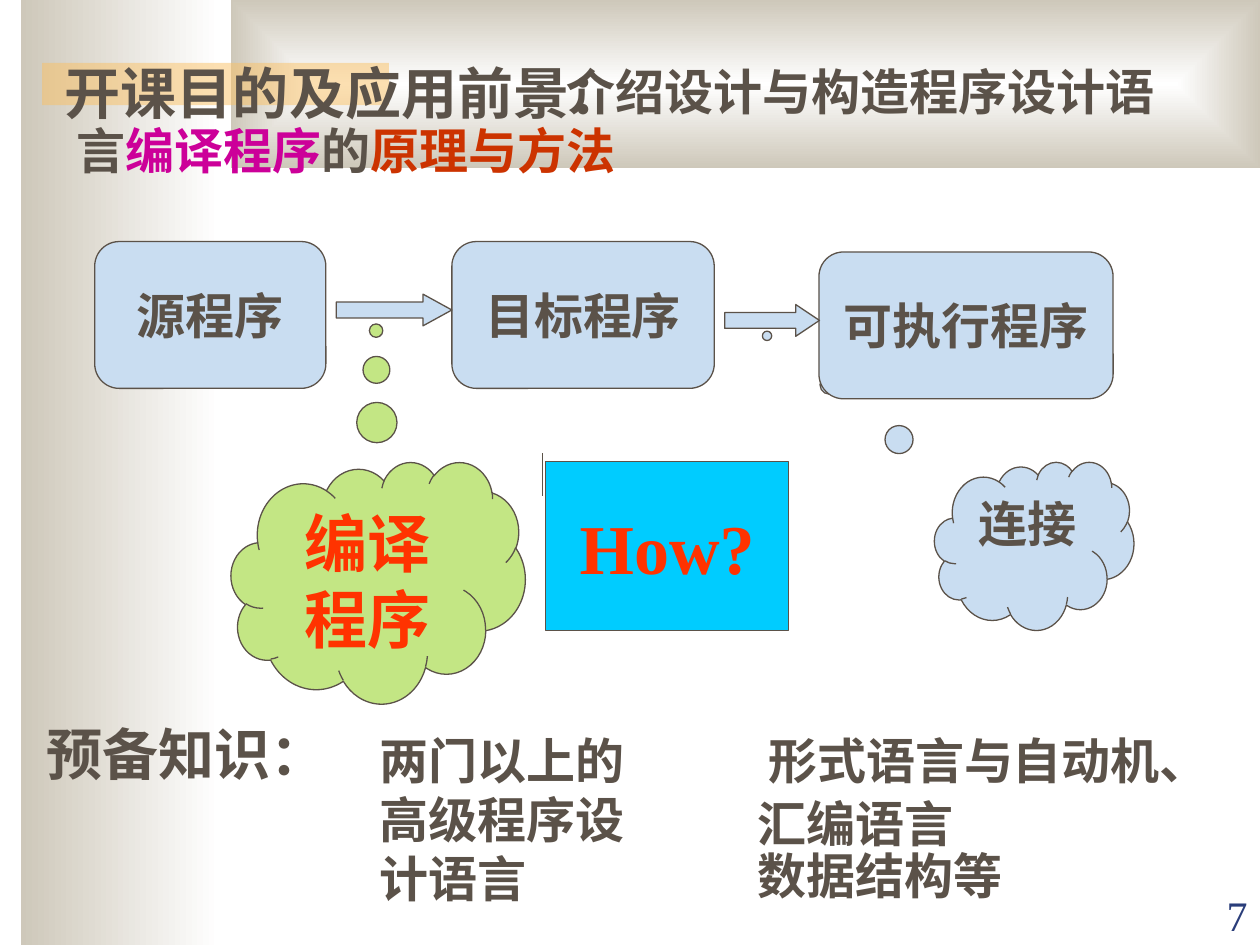
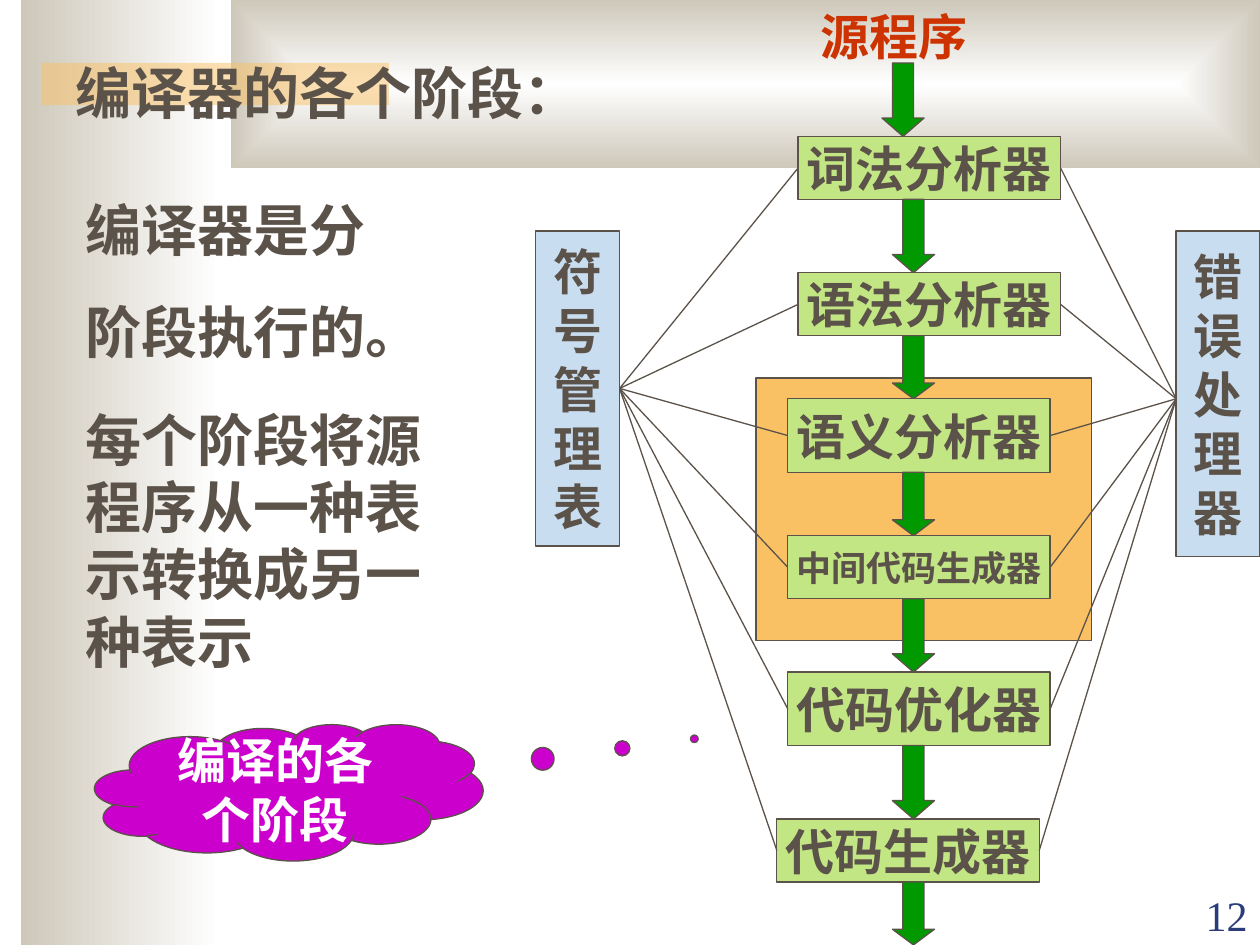
from lxml import etree
from pptx import Presentation
from pptx.dml.color import RGBColor
from pptx.enum.shapes import MSO_CONNECTOR, MSO_SHAPE
from pptx.enum.text import MSO_ANCHOR, PP_ALIGN
from pptx.oxml.ns import qn
from pptx.util import Cm, Pt

RECT = MSO_SHAPE.RECTANGLE
ROUND = MSO_SHAPE.ROUNDED_RECTANGLE
RIGHT = MSO_SHAPE.RIGHT_ARROW
DOWN = MSO_SHAPE.DOWN_ARROW
CLOUD = MSO_SHAPE.CLOUD_CALLOUT
NOTE = MSO_SHAPE.LINE_CALLOUT_1
STRAIGHT = MSO_CONNECTOR.STRAIGHT
TOP, MIDDLE, BOTTOM = MSO_ANCHOR.TOP, MSO_ANCHOR.MIDDLE, MSO_ANCHOR.BOTTOM
LEFT, CENTER, END = PP_ALIGN.LEFT, PP_ALIGN.CENTER, PP_ALIGN.RIGHT

FONT = "Times New Roman"
WIDTH, HEIGHT = 25.4, 19.05
COLORS = {
    "white": "FFFFFF",
    "sand": "CEC8BA",
    "amber": "FAC164",
    "ink": "5B5249",
    "sky": "C9DDF1",
    "lime": "C3E684",
    "cyan": "00CCFF",
    "red": "FF3300",
    "rust": "CC3300",
    "pink": "CC0099",
    "purple": "CC00CC",
    "green": "009900",
    "navy": "2A3D7A",
}


def rgb(name):
    return RGBColor.from_string(COLORS[name])


def style(run, size, color, bold=True):
    run.font.name = FONT
    run.font.size = Pt(size)
    run.font.bold = bold
    run.font.color.rgb = rgb(color)


def write(shape, text, size, color, align=LEFT, anchor=TOP, wrap=True, gap=0, bold=True):
    frame = shape.text_frame
    frame.text = text
    frame.word_wrap = wrap
    frame.vertical_anchor = anchor
    for index, para in enumerate(frame.paragraphs):
        para.alignment = align
        if index and gap:
            para.space_before = Pt(gap)
        for run in para.runs:
            style(run, size, color, bold)


def label(slide, box, text, size=28, color="ink", **look):
    shape = slide.shapes.add_textbox(*map(Cm, box))
    write(shape, text, size, color, **look)
    return shape


def block(slide, kind, box, fill=None, edge="ink", adjust=()):
    shape = slide.shapes.add_shape(kind, *map(Cm, box))
    shape.shadow.inherit = False
    if fill:
        shape.fill.solid()
        shape.fill.fore_color.rgb = rgb(fill)
    if edge:
        shape.line.color.rgb = rgb(edge)
        shape.line.width = Pt(0.75)
    else:
        shape.line.fill.background()
    for index, value in enumerate(adjust):
        shape.adjustments[index] = value
    return shape


def node(slide, kind, box, fill, text, size=28, color="ink", adjust=(), anchor=MIDDLE, wrap=False):
    shape = block(slide, kind, box, fill, adjust=adjust)
    write(shape, text, size, color, CENTER, anchor, wrap)


def arrow(slide, kind, box, fill):
    long, short = max(box[2:]), min(box[2:])
    block(slide, kind, box, fill, adjust=(0.5, long / short / 4))


def link(slide, x1, y1, x2, y2):
    line = slide.shapes.add_connector(STRAIGHT, Cm(x1), Cm(y1), Cm(x2), Cm(y2))
    line.line.color.rgb = rgb("ink")
    line.line.width = Pt(0.75)
    etree.SubElement(line._element.spPr, qn("a:effectLst"))


def fade(slide, box):
    shape = block(slide, RECT, box, edge=None)
    shape.fill.gradient()
    shape.fill.gradient_angle = 180
    for stop, name, place in zip(shape.fill.gradient_stops, ("white", "sand"), (0, 1)):
        stop.color.rgb = rgb(name)
        stop.position = place
    return shape


def base(deck, number):
    slide = deck.slides.add_slide(deck.slide_layouts[6])
    fade(slide, (0.42, 0, 4.02, HEIGHT))
    band = fade(slide, (4.66, 0, 20.74, 3.39))
    grad = band._element.spPr.find(qn("a:gradFill"))
    grad.remove(grad.find(qn("a:lin")))
    route = etree.SubElement(grad, qn("a:path"))
    route.set("path", "rect")
    center = etree.SubElement(route, qn("a:fillToRect"))
    for side in "ltrb":
        center.set(side, "50000")
    tag = block(slide, RECT, (0.85, 1.27, 6.99, 0.85), "amber", None)
    tint = tag._element.spPr.find(qn("a:solidFill"))[0]
    etree.SubElement(tint, qn("a:alpha")).set("val", "50000")
    label(slide, (22.86, 17.8, 2.54, 1.27), str(number), 24, "navy",
          align=END, anchor=BOTTOM, bold=False)
    return slide


def title(slide, x, width, text):
    label(slide, (x, 1.06, width, 1.62), text, 32)


def intro(slide, box):
    parts = (
        ("介绍设计与构造程序设计语言", "ink"),
        ("编译程序", "pink"),
        ("的", "ink"),
        ("原理与方法", "rust"),
    )
    shape = slide.shapes.add_textbox(*map(Cm, box))
    shape.text_frame.word_wrap = True
    para = shape.text_frame.paragraphs[0]
    para._p.get_or_add_pPr().set("indent", str(Cm(9.88)))
    for text, color in parts:
        run = para.add_run()
        run.text = text
        style(run, 28, color)


def flow(slide, x, y):
    steps = (
        ("源程序", 0, 0, 4.66),
        ("目标程序", 7.2, 0, 5.29),
        ("可执行程序", 14.6, 0.21, 5.93),
    )
    for text, dx, dy, width in steps:
        node(slide, ROUND, (x + dx, y + dy, width, 2.96), "sky", text, adjust=(0.167,))
    for dx, dy, width in ((4.87, 1.06, 2.33), (12.7, 1.27, 1.91)):
        arrow(slide, RIGHT, (x + dx, y + dy, width, 0.64), "sky")


def clouds(slide, x, y):
    node(slide, CLOUD, (x, y, 5.93, 4.87), "lime", "编译程序", 36, "red",
         (-0.007, -1.043), TOP, True)
    node(slide, CLOUD, (x + 14.18, y, 4.02, 3.39), "sky", "连接",
         adjust=(-1.34, -1.249), anchor=TOP, wrap=True)
    node(slide, NOTE, (x + 6.34, y, 4.9, 3.4), "cyan", "How?", 40, "red",
         (-0.052, -0.013, 0.202, -0.013), wrap=True)


def needs(slide, x, y):
    label(slide, (x, y, 6.93, 1.62), "预备知识：", 32)
    items = (
        ("两门以上的高级程序设计语言", 6.72, 0.21, 6.35),
        ("形式语言与自动机、", 14.55, 0.21, 10.16),
        ("汇编语言", 14.34, 1.48, 6.99),
        ("数据结构等", 14.34, 2.54, 7.62),
    )
    for text, dx, dy, width in items:
        label(slide, (x + dx, y + dy, width, 1.45), text)


def purpose(deck):
    slide = base(deck, 7)
    title(slide, 1.06, 13.23, "开课目的及应用前景：")
    intro(slide, (1.3, 1.12, 23.01, 2.64))
    clouds(slide, 4.66, 9.31)
    flow(slide, 1.91, 4.87)
    needs(slide, 0.69, 14.39)


def side(slide, box, text):
    node(slide, RECT, box, "sky", "\n".join(text))


def chain(slide, x, left, right):
    stages = (
        ("词法分析器", 0.43, 2.75, 1.27, 28),
        ("语法分析器", 0.43, 5.5, 1.27, 28),
        ("语义分析器", 0.22, 8.04, 1.48, 28),
        ("中间代码生成器", 0.22, 10.8, 1.27, 20),
        ("代码优化器", 0.22, 13.55, 1.48, 28),
        ("代码生成器", 0, 16.51, 1.27, 28),
    )
    width = 5.29
    block(slide, RECT, (x - 0.42, 7.62, 6.77, 5.29), "amber")
    label(slide, (x + 0.64, 0, 4.45, 1.45), "源程序", color="rust")
    arrow(slide, DOWN, (x + 2.12, 1.27, 0.85, 1.48), "green")
    ends = [stage[2] for stage in stages[1:]] + [HEIGHT]
    for (text, dx, y, height, size), end in zip(stages, ends):
        start, foot, mid = x + dx, y + height, y + height / 2
        node(slide, RECT, (start, y, width, height), "lime", text, size)
        arrow(slide, DOWN, (x + 2.33, foot, 0.85, end - foot), "green")
        link(slide, start, mid, *left)
        link(slide, start + width, mid, *right)


def notes(slide, x, y):
    label(slide, (x, y, 7.41, 3.68), "编译器是分\n阶段执行的。", 32, gap=20)
    label(slide, (x, y + 4.24, 8.41, 4.32), "每个阶段将源程序从一种表示转换成另一种表示", 32)


def phases(deck):
    slide = base(deck, 12)
    title(slide, 1.27, 20.32, "编译器的各个阶段：")
    notes(slide, 1.48, 3.81)
    chain(slide, 15.66, (12.49, 7.83), (23.71, 8.04))
    side(slide, (10.8, 4.66, 1.69, 6.35), "符号管理表")
    side(slide, (23.71, 4.66, 1.69, 6.56), "错误处理器")
    node(slide, CLOUD, (1.91, 14.6, 7.83, 2.75), "purple", "编译的各个阶段",
         color="white", adjust=(1.044, -0.393), wrap=True)


def main():
    deck = Presentation()
    deck.slide_width, deck.slide_height = Cm(WIDTH), Cm(HEIGHT)
    purpose(deck)
    phases(deck)
    deck.save("out.pptx")


if __name__ == "__main__":
    main()
